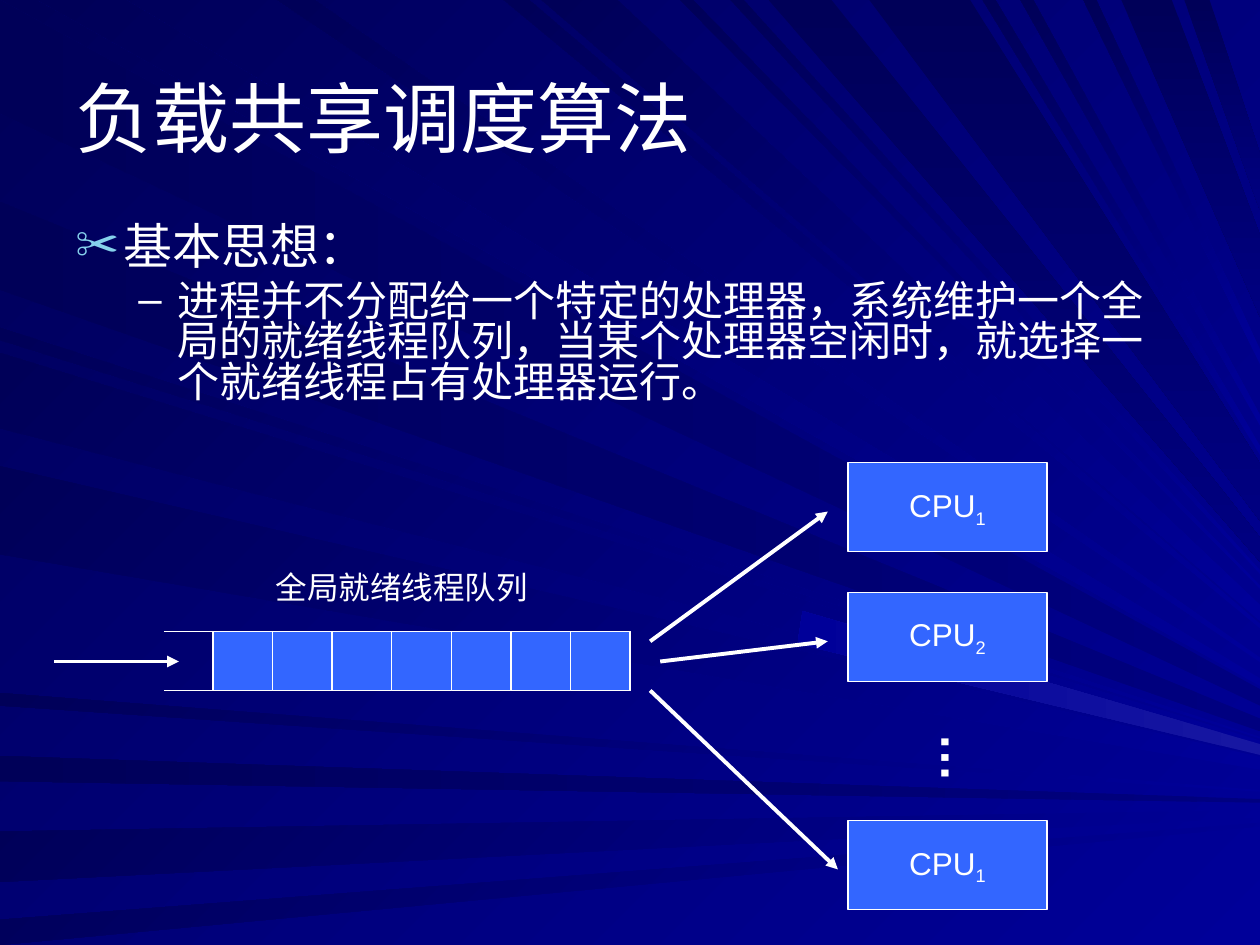
"""Slide on the load-sharing scheduling algorithm: one global ready queue feeding many CPUs."""
import pptx
import pptx.util
import pptx.dml.color
import pptx.enum.shapes
import pptx.enum.text
import pptx.oxml
import pptx.oxml.ns

GRID = pptx.util.Inches(0.1)
COLUMNS, ROWS = 100, 75
VANISHING_POINT = (117, 64)
FONT = "Arial"
COLOURS = {
    "text": "FFFFFF", "box": "3366FF", "bullet": "86D1EC", "bright": "000099",
    "middle": "000080", "dark": "000058", "glow": "1717A2",
}
ANCHOR = pptx.enum.text.MSO_ANCHOR
ALIGN = pptx.enum.text.PP_ALIGN

LEFT_DIM = [(0, 9), (16, 23), (60, 62)]
LEFT_BRIGHT = [(26, 27), (28, 34), (37, 44), (55, 56), (66, 70), (73, 75)]
TOP_BRIGHT = [(3, 10), (22, 25), (40, 42), (43, 49), (54, 55), (58, 59), (78, 79), (81, 82), (86, 87)]
TOP_DIM = [(61, 66), (69, 77), (89, 93), (94, 96)]


def cells(*counts):
    """Turn counts of grid columns or rows into lengths."""
    return [pptx.util.Emu(round(count * GRID)) for count in counts]


def colour(name):
    """Make a colour from its name in the palette."""
    return pptx.dml.color.RGBColor.from_string(COLOURS[name])


def paint(fill, start, end=None, angle=0):
    """Fill with one colour, or with a gradient at a clockwise angle."""
    if end is None:
        fill.solid()
        fill.fore_color.rgb = colour(start)
        return
    fill.gradient()
    fill.gradient_angle = 360 - angle
    for stop, name in zip(fill.gradient_stops, (start, end)):
        stop.color.rgb = colour(name)


def outline(shape, width=0.75):
    """Give a shape or connector a line in the text colour."""
    shape.line.color.rgb = colour("text")
    shape.line.width = pptx.util.Pt(width)


def style(para, size, bold=False):
    """Format every run of a paragraph."""
    for span in para.runs:
        span.font.name = FONT
        span.font.size = pptx.util.Pt(size)
        span.font.bold = bold
        span.font.color.rgb = colour("text")


def add_outline(page, points, closed=True):
    """Draw a freeform through grid points."""
    places = [cells(*point) for point in points]
    builder = page.shapes.build_freeform(*places[0])
    builder.add_line_segments(places[1:], close=closed)
    shape = builder.convert_to_shape()
    shape.shadow.inherit = False
    return shape


def project(column, row, limit=COLUMNS):
    """Follow a beam towards the vanishing point up to a column."""
    far_column, far_row = VANISHING_POINT
    return limit, row + (far_row - row) * (limit - column) / (far_column - column)


def add_ray(page, first, second, *gradient):
    """Draw one beam from two edge points to the right edge."""
    ray = add_outline(page, [first, second, project(*second), project(*first)])
    paint(ray.fill, *gradient)
    ray.line.fill.background()


def add_rays(page):
    """Paint the background and the beams of light across it."""
    paint(page.background.fill, "bright", "dark", 225)
    for first, second in LEFT_DIM:
        add_ray(page, (0, first), (0, second), "middle", "dark", 180)
    for first, second in LEFT_BRIGHT:
        add_ray(page, (0, first), (0, second), "bright", "dark", 225)
    for first, second in TOP_BRIGHT:
        add_ray(page, (first, 0), (second, 0), "bright", "dark", 225)
    for first, second in TOP_DIM:
        add_ray(page, (first, 0), (second, 0), "dark", "middle", 90)
    add_ray(page, (63.7, 48.5), (63.3, 51.1), "glow", "bright", 180)


def add_title(page, text):
    """Place the title in front of the rays."""
    title = page.shapes.title
    page.shapes._spTree.append(title._element)
    title.left, title.top, title.width, title.height = cells(5, 3, 90, 12.5)
    frame = title.text_frame
    frame.text = text
    frame.auto_size = pptx.enum.text.MSO_AUTO_SIZE.NONE
    frame.vertical_anchor = ANCHOR.MIDDLE
    frame.paragraphs[0].alignment = ALIGN.LEFT
    style(frame.paragraphs[0], 44)


def add_text(page, place, text, size, bold=False):
    """Add a wrapping text box with one paragraph."""
    frame = page.shapes.add_textbox(*cells(*place)).text_frame
    frame.word_wrap = True
    frame.text = text
    style(frame.paragraphs[0], size, bold)
    return frame


def add_bullet(para, mark, name, percent, left, hang):
    """Give a paragraph a hanging bullet and tight lines."""
    para.line_spacing = 0.8
    properties = para._p.get_or_add_pPr()
    properties.set("marL", str(pptx.util.Inches(left)))
    properties.set("indent", str(-pptx.util.Inches(hang)))
    space = pptx.oxml.ns.nsdecls("a")
    for markup in (
        f'<a:buClr {space}><a:srgbClr val="{COLOURS[name]}"/></a:buClr>',
        f'<a:buSzPct {space} val="{percent * 1000}"/>',
        f'<a:buFont {space} typeface="{FONT}"/>',
        f'<a:buChar {space} char="{mark}"/>',
    ):
        properties.append(pptx.oxml.parse_xml(markup))


def add_idea(page):
    """Write the heading and explanation of the basic idea."""
    frame = add_text(page, (5, 17.5, 89.9, 16.1), "基本思想：", 28)
    add_bullet(frame.paragraphs[0], "✂", "bullet", 90, 0.38, 0.38)
    detail = frame.add_paragraph()
    detail.text = "进程并不分配给一个特定的处理器，系统维护一个全局的就绪线程队列，当某个处理器空闲时，就选择一个就绪线程占有处理器运行。"
    detail.level = 1
    detail.space_before = pptx.util.Pt(6)
    add_bullet(detail, "–", "text", 100, 0.81, 0.31)
    style(detail, 24)


def add_box(page, *place):
    """Add a blue rectangle with a thin white line."""
    box = page.shapes.add_shape(pptx.enum.shapes.MSO_SHAPE.RECTANGLE, *cells(*place))
    box.shadow.inherit = False
    paint(box.fill, "box")
    outline(box)
    return box


def add_cpu(page, row, number):
    """Add a processor box with a subscript number."""
    frame = add_box(page, 67.3, row, 15.8, 7.1).text_frame
    frame.word_wrap = False
    frame.vertical_anchor = ANCHOR.MIDDLE
    para = frame.paragraphs[0]
    para.alignment = ALIGN.CENTER
    for text in ("CPU", number):
        para.add_run().text = text
    style(para, 18)
    para.runs[1].font._element.set("baseline", "-25000")


def add_queue(page, left=16.9, top=50.1, side=4.73, count=7):
    """Draw the open-ended queue, its filled places and its label."""
    right, bottom, mouth = left + count * side, top + side, 13
    frame = add_outline(page, [(mouth, top), (right, top), (right, bottom), (mouth, bottom)], closed=False)
    frame.fill.background()
    outline(frame)
    for index in range(count):
        add_box(page, left + index * side, top, side, side)
    add_text(page, (20.9, 44.6, 23.6, 4), "全局就绪线程队列", 18)


def add_arrow(page, *ends):
    """Draw a straight arrow between two grid points."""
    arrow = page.shapes.add_connector(pptx.enum.shapes.MSO_CONNECTOR.STRAIGHT, *cells(*ends))
    outline(arrow, 2.25)
    space = pptx.oxml.ns.nsdecls("a")
    arrow.line._get_or_add_ln().append(pptx.oxml.parse_xml(f'<a:tailEnd {space} type="triangle"/>'))
    arrow._element.spPr.append(pptx.oxml.parse_xml(f"<a:effectLst {space}/>"))


def main():
    """Build the slide and save it."""
    deck = pptx.Presentation()
    deck.slide_width, deck.slide_height = cells(COLUMNS, ROWS)
    page = deck.slides.add_slide(deck.slide_layouts[5])
    add_rays(page)
    add_title(page, "负载共享调度算法")
    add_idea(page)
    for row, number in ((36.7, "1"), (47, "2"), (65.1, "1")):
        add_cpu(page, row, number)
    dots = add_text(page, (72.5, 57.2, 6.6, 5.5), "…", 28, bold=True)
    dots._txBody.bodyPr.set("vert", "eaVert")
    dots.margin_left = dots.margin_right = pptx.util.Inches(0.05)
    dots.margin_top = dots.margin_bottom = pptx.util.Inches(0.1)
    add_queue(page)
    for ends in ((51.6, 50.9, 65.7, 40.6), (52.4, 52.5, 65.7, 50.9),
                 (51.6, 54.8, 66.5, 69), (4.3, 52.5, 14.2, 52.5)):
        add_arrow(page, *ends)
    deck.save("out.pptx")


if __name__ == "__main__":
    main()
